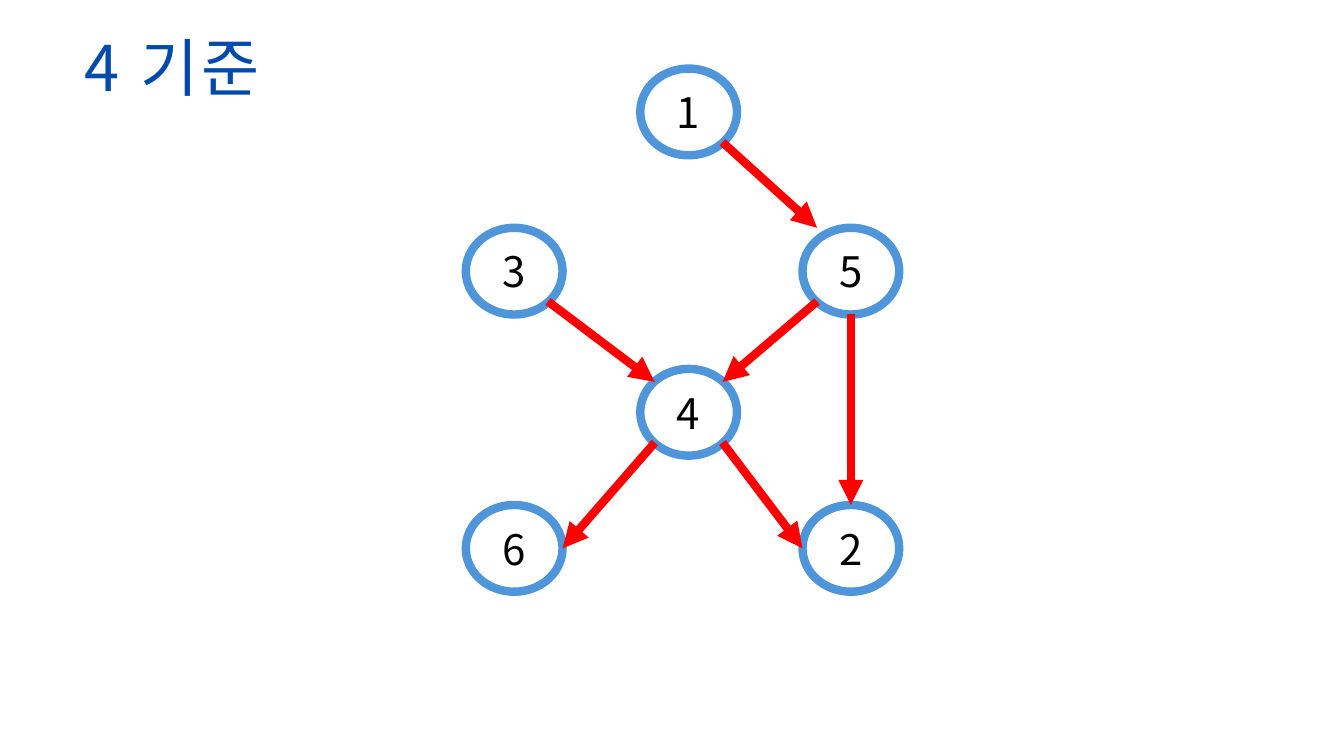
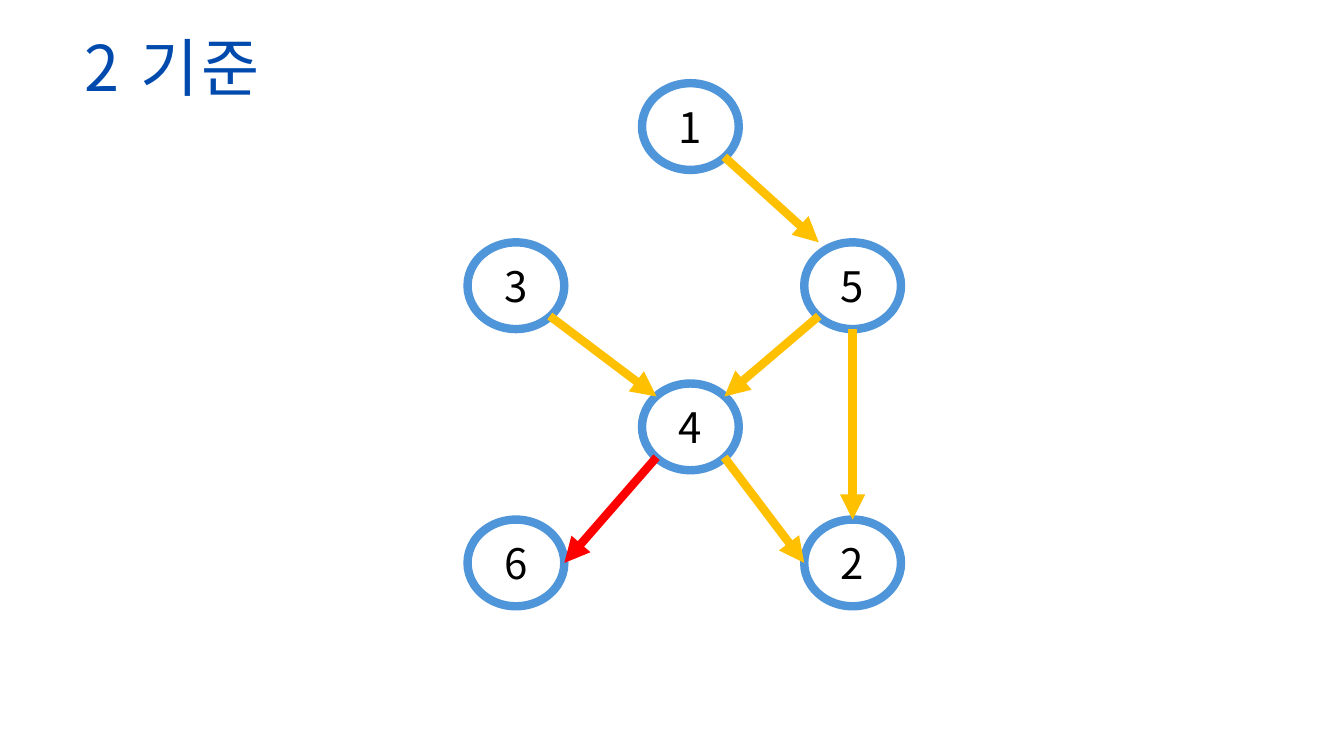
from dataclasses import dataclass

from lxml.etree import SubElement
from pptx import Presentation
from pptx.dml.color import RGBColor as RGB
from pptx.enum.shapes import MSO_CONNECTOR as Connector, MSO_SHAPE as Preset
from pptx.enum.text import MSO_ANCHOR as Anchor, PP_ALIGN as Align
from pptx.oxml.ns import qn
from pptx.util import Inches, Pt


@dataclass(frozen=True)
class Theme:
    font: str = "Noto Sans CJK KR"
    title: RGB = RGB.from_string("004AAD")
    ring: RGB = RGB.from_string("4E95D9")
    paper: RGB = RGB.from_string("FFFFFF")
    ink: RGB = RGB.from_string("000000")
    red: RGB = RGB.from_string("FF0000")
    amber: RGB = RGB.from_string("FFC000")
    title_size: float = 45
    title_leading: float = 74.7
    title_tracking: float = 2.2
    label_size: float = 30
    stroke: float = 6


theme = Theme()
deck = Presentation()
deck.slide_width, deck.slide_height = Inches(13.33), Inches(7.5)


def place(*shares):
    """Turn alternating x and y percentages of the slide into lengths."""
    sides = (deck.slide_width, deck.slide_height)
    return [round(share * sides[i % 2] / 100) for i, share in enumerate(shares)]


def write(shape, text, *, size, color, anchor=Anchor.MIDDLE, leading=None, tracking=0):
    frame = shape.text_frame
    frame.word_wrap = True
    frame.vertical_anchor = anchor
    paragraph = frame.paragraphs[0]
    paragraph.alignment = Align.CENTER
    if leading:
        paragraph.line_spacing = Pt(leading)
    run = paragraph.add_run()
    run.text = text
    run.font.size = Pt(size)
    run.font.color.rgb = color
    run.font.name = theme.font
    properties = run.font._element
    SubElement(properties, qn("a:ea"), typeface=theme.font)
    if tracking:
        properties.set("spc", str(round(tracking * 100)))


# Percentages of the slide's width and height
columns = (34.66, 47.64, 59.71)
rows = (9.07, 30.13, 48.8, 66.8)
node_width, node_height = 7.2, 11.47
title_box = (1.05, 0, 23.48, 13.07)

# Node label: (column, row)
nodes = {"1": (1, 0), "5": (2, 1), "4": (1, 2), "3": (0, 1), "2": (2, 3), "6": (0, 3)}

# Where an arrow meets a node, as shares of the node's width and height
sites = {
    "top": (0.5, 0), "bottom": (0.5, 1), "left": (0, 0.5), "right": (1, 0.5),
    "upper left": (0.15, 0.15), "upper right": (0.85, 0.15),
    "lower left": (0.15, 0.85), "lower right": (0.85, 0.85),
    "above left": (0.15, 0),
}
edges = (
    ("1", "lower right", "5", "above left"),
    ("5", "bottom", "2", "top"),
    ("5", "lower left", "4", "upper right"),
    ("3", "lower right", "4", "upper left"),
    ("4", "lower left", "6", "right"),
    ("4", "lower right", "2", "left"),
)

# Title, shift of the graph, edge colour, edges with a colour of their own
graphs = (
    ("4 기준", (0, 0), theme.red, {}),
    ("2 기준", (0.13, 1.93), theme.amber, {("4", "6"): theme.red}),
)

for title, (shift_x, shift_y), edge_color, special_edges in graphs:
    slide = deck.slides.add_slide(deck.slide_layouts[6])
    corners = {
        label: (columns[column] + shift_x, rows[row] + shift_y)
        for label, (column, row) in nodes.items()
    }

    for label, corner in corners.items():
        node = slide.shapes.add_shape(Preset.OVAL, *place(*corner, node_width, node_height))
        node.shadow.inherit = False
        node.fill.solid()
        node.fill.fore_color.rgb = theme.paper
        node.line.color.rgb = theme.ring
        node.line.width = Pt(theme.stroke)
        write(node, label, size=theme.label_size, color=theme.ink)

    for source, exit_site, target, entry_site in edges:
        ends = []
        for label, site in ((source, exit_site), (target, entry_site)):
            (left, top), (across, down) = corners[label], sites[site]
            ends += [left + across * node_width, top + down * node_height]
        arrow = slide.shapes.add_connector(Connector.STRAIGHT, *place(*ends))
        arrow.line.color.rgb = special_edges.get((source, target), edge_color)
        arrow.line.width = Pt(theme.stroke)
        SubElement(arrow.line._get_or_add_ln(), qn("a:tailEnd"), type="triangle")
        SubElement(arrow._element.spPr, qn("a:effectLst"))

    heading = slide.shapes.add_textbox(*place(*title_box))
    margins = heading.text_frame
    margins.margin_left = margins.margin_right = margins.margin_top = margins.margin_bottom = 0
    write(heading, title, size=theme.title_size, color=theme.title, anchor=Anchor.TOP,
          leading=theme.title_leading, tracking=theme.title_tracking)

deck.save("out.pptx")
